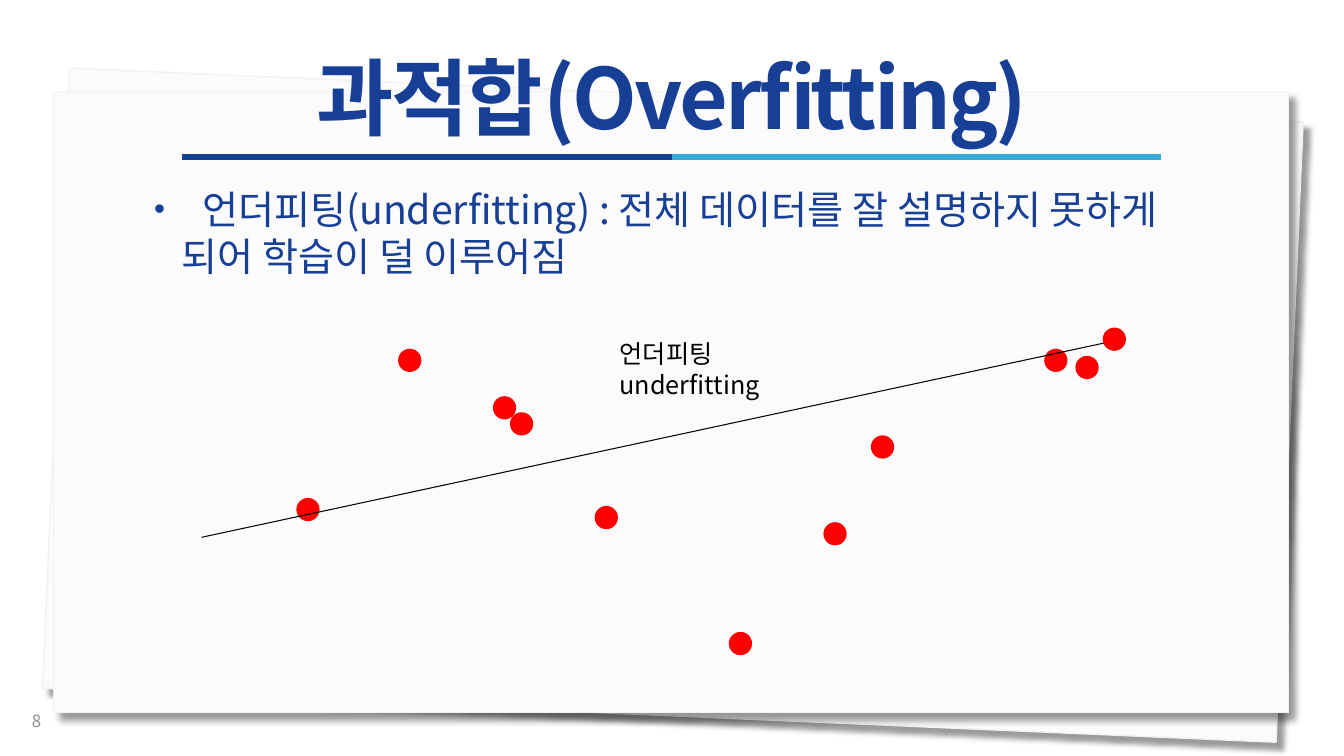
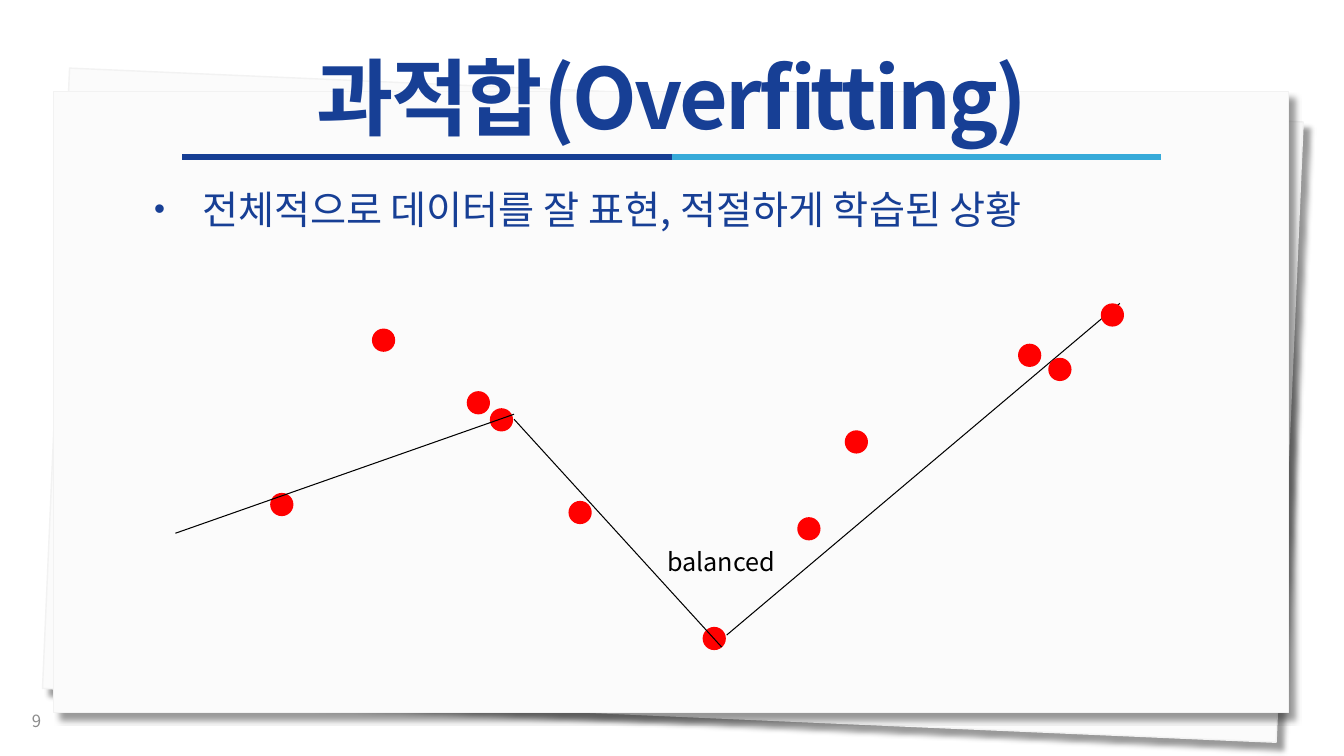
import lxml.etree
import pptx
import pptx.dml.color
import pptx.enum.shapes
import pptx.enum.text
import pptx.oxml.ns
import pptx.util

FONT = "Noto Sans CJK KR"
COLORS = {
    "card": "FBFBFB",
    "card_edge": "F2F2F2",
    "shadow": "000000",
    "rule_dark": "163E94",
    "rule_light": "36AAD9",
    "heading": "173F95",
    "number": "8C8C8C",
    "ink": "000000",
    "dot": "FF0000",
}
TITLE = "과적합(Overfitting)"
TITLE_BOX = (0, 40.3, 960, 64.8)
BODY_BOX = (101.5, 128.9, 762.5, 41)
NUMBER_BOX = (15.8, 500.4, 216, 28.8)
CARD_BOX = (38.2, 65.5, 882, 443.5)
RULE_BOX = (130.3, 112.3, 699.2, 0)
DOT_SIZE = 16.6
SHARED_DOTS = [
    (67.7, 121.7), (208.1, 49), (444.2, 139), (601.9, 15.1),
    (280.8, 127.4), (478.1, 77), (376.6, 217.4),
]
SLIDES = [
    {
        "number": 8,
        "body": "언더피팅(underfitting) : 전체 데이터를 잘 설명하지 못하게 되어 학습이 덜 이루어짐",
        "plot_origin": (144, 234),
        "back_dots": [(140.4, 15.1), (220.3, 60.5), (624.2, 20.2)],
        "lines": [((0, 149.8), (652.3, 9.4))],
        "front_dots": [(643.7, 0)],
        "label": "언더피팅\nunderfitting",
        "label_box": (291.6, 4.3, 158.4, 51),
    },
    {
        "number": 9,
        "body": "전체적으로 데이터를 잘 표현, 적절하게 학습된 상황",
        "plot_origin": (125.3, 230.4),
        "back_dots": [(140.4, 4.3), (224.6, 61.2)],
        "lines": [
            ((0, 150.5), (241.9, 65.5)),
            ((241.9, 69.1), (390.2, 231.8)),
            ((393.8, 223.2), (674.6, -13.7)),
        ],
        "front_dots": [(623.5, 25.2), (661, -13.7)],
        "label": "balanced",
        "label_box": (344.2, 156.2, 118, 36),
    },
]


def rgb(name):
    """Return the named palette colour."""
    return pptx.dml.color.RGBColor.from_string(COLORS[name])


def points(values):
    """Convert numbers in points to lengths."""
    return [pptx.util.Pt(value) for value in values]


def add_element(parent, tag, **attributes):
    """Append a drawing element with attributes to its parent."""
    return lxml.etree.SubElement(parent, pptx.oxml.ns.qn(tag), attributes)


def add_run(paragraph, text, size, color, bold=False, spacing=0):
    """Add a formatted run to a paragraph."""
    run = paragraph.add_run()
    run.text = text
    run.font.size = pptx.util.Pt(size)
    run.font.bold = bold
    run.font.color.rgb = rgb(color)
    run.font.name = FONT
    properties = run._r.get_or_add_rPr()
    add_element(properties, "a:ea", typeface=FONT)
    if spacing:
        properties.set("spc", str(round(spacing * 100)))


def write_text(text_frame, text, size, color, alignment="LEFT", line_spacing=1.0, bullet=False,
               anchor="TOP", fit="NONE", **run_format):
    """Fill a text frame with one formatted paragraph for each line."""
    text_frame.word_wrap = True
    text_frame.auto_size = getattr(pptx.enum.text.MSO_AUTO_SIZE, fit)
    text_frame.vertical_anchor = getattr(pptx.enum.text.MSO_ANCHOR, anchor)
    for index, line in enumerate(text.split("\n")):
        paragraph = text_frame.add_paragraph() if index else text_frame.paragraphs[0]
        paragraph.alignment = getattr(pptx.enum.text.PP_ALIGN, alignment)
        paragraph.space_before = pptx.util.Pt(0)
        paragraph.line_spacing = line_spacing
        if bullet:
            properties = paragraph._p.get_or_add_pPr()
            properties.set("marL", str(pptx.util.Pt(20.9)))
            properties.set("indent", str(pptx.util.Pt(-19.5)))
            add_element(properties, "a:buSzPct", val="80000")
            add_element(properties, "a:buChar", char="•")
            add_run(paragraph, " ", size, color, spacing=8.5)
        add_run(paragraph, line, size, color, **run_format)


def add_shape(slide, kind, box, fill):
    """Add a flat filled preset shape without a line."""
    preset = getattr(pptx.enum.shapes.MSO_SHAPE, kind)
    shape = slide.shapes.add_shape(preset, *points(box))
    shape.shadow.inherit = False
    shape.fill.solid()
    shape.fill.fore_color.rgb = rgb(fill)
    shape.line.fill.background()
    return shape


def add_line(slide, start, end, color, width):
    """Add a straight line without a shadow."""
    connector = slide.shapes.add_connector(
        pptx.enum.shapes.MSO_CONNECTOR.STRAIGHT, *points((*start, *end)))
    connector.line.color.rgb = rgb(color)
    connector.line.width = pptx.util.Pt(width)
    add_element(connector._element.spPr, "a:effectLst")
    return connector


def add_card(slide, box, rotation=0):
    """Add a sheet of paper with a soft shadow."""
    card = add_shape(slide, "RECTANGLE", box, "card")
    card.rotation = rotation
    card.line.color.rgb = rgb("card_edge")
    card.line.width = pptx.util.Pt(1)
    effects = card._element.spPr.find(pptx.oxml.ns.qn("a:effectLst"))
    shadow = add_element(
        effects, "a:outerShdw", blurRad=str(pptx.util.Pt(4)), dist=str(pptx.util.Pt(7)),
        dir="2700000", algn="tl", rotWithShape="0")
    color = add_element(shadow, "a:srgbClr", val=COLORS["shadow"])
    add_element(color, "a:alpha", val="40000")
    return card


def add_backdrop(slide, card_box, rule_box):
    """Add the two sheets and the two-coloured title rule."""
    left, top, width, height = card_box
    rule_left, rule_top, rule_width, _ = rule_box
    middle = rule_left + rule_width / 2
    return [
        add_card(slide, (left + 1.4, top + 2.2, width, height), rotation=2.5),
        add_card(slide, card_box),
        add_line(slide, (rule_left, rule_top), (middle, rule_top), "rule_dark", 4.5),
        add_line(slide, (middle, rule_top), (rule_left + rule_width, rule_top), "rule_light", 4.5),
    ]


def prepare_layout(layout, slide):
    """Place the layout's title, body and backdrop, drawn through a slide."""
    for placeholder, box in zip(layout.placeholders, (TITLE_BOX, BODY_BOX)):
        placeholder.left, placeholder.top, placeholder.width, placeholder.height = points(box)
    for position, shape in enumerate(add_backdrop(slide, CARD_BOX, RULE_BOX), start=2):
        layout.shapes.element.insert(position, shape.element)


def add_dots(slide, origin, positions):
    """Add data points at positions relative to the plot origin."""
    for x, y in positions:
        add_shape(slide, "OVAL", (origin[0] + x, origin[1] + y, DOT_SIZE, DOT_SIZE), "dot")


def add_plot(slide, content):
    """Add the data points, the fitted lines and their label."""
    left, top = origin = content["plot_origin"]
    add_dots(slide, origin, SHARED_DOTS + content["back_dots"])
    for (start_x, start_y), (end_x, end_y) in content["lines"]:
        add_line(slide, (left + start_x, top + start_y), (left + end_x, top + end_y), "ink", 0.75)
    x, y, width, height = content["label_box"]
    label = slide.shapes.add_textbox(*points((left + x, top + y, width, height)))
    write_text(label.text_frame, content["label"], 18, "ink", fit="SHAPE_TO_FIT_TEXT")
    add_dots(slide, origin, content["front_dots"])


def fill_slide(slide, content):
    """Fill one slide with its title, statement, number and plot."""
    write_text(slide.shapes.title.text_frame, TITLE, 60, "heading", alignment="CENTER",
               line_spacing=0.9, anchor="MIDDLE", bold=True, spacing=-1.9)
    write_text(slide.placeholders[1].text_frame, content["body"], 28, "heading", bullet=True,
               fit="SHAPE_TO_FIT_TEXT")
    number = slide.shapes.add_textbox(*points(NUMBER_BOX))
    write_text(number.text_frame, str(content["number"]), 12, "number", anchor="MIDDLE")
    add_plot(slide, content)


def main():
    """Build and save the presentation."""
    presentation = pptx.Presentation()
    presentation.slide_width, presentation.slide_height = points((960, 540))
    layout = presentation.slide_layouts[1]
    slides = [presentation.slides.add_slide(layout) for _ in SLIDES]
    prepare_layout(layout, slides[0])
    for slide, content in zip(slides, SLIDES):
        fill_slide(slide, content)
    presentation.save("out.pptx")


if __name__ == "__main__":
    main()
